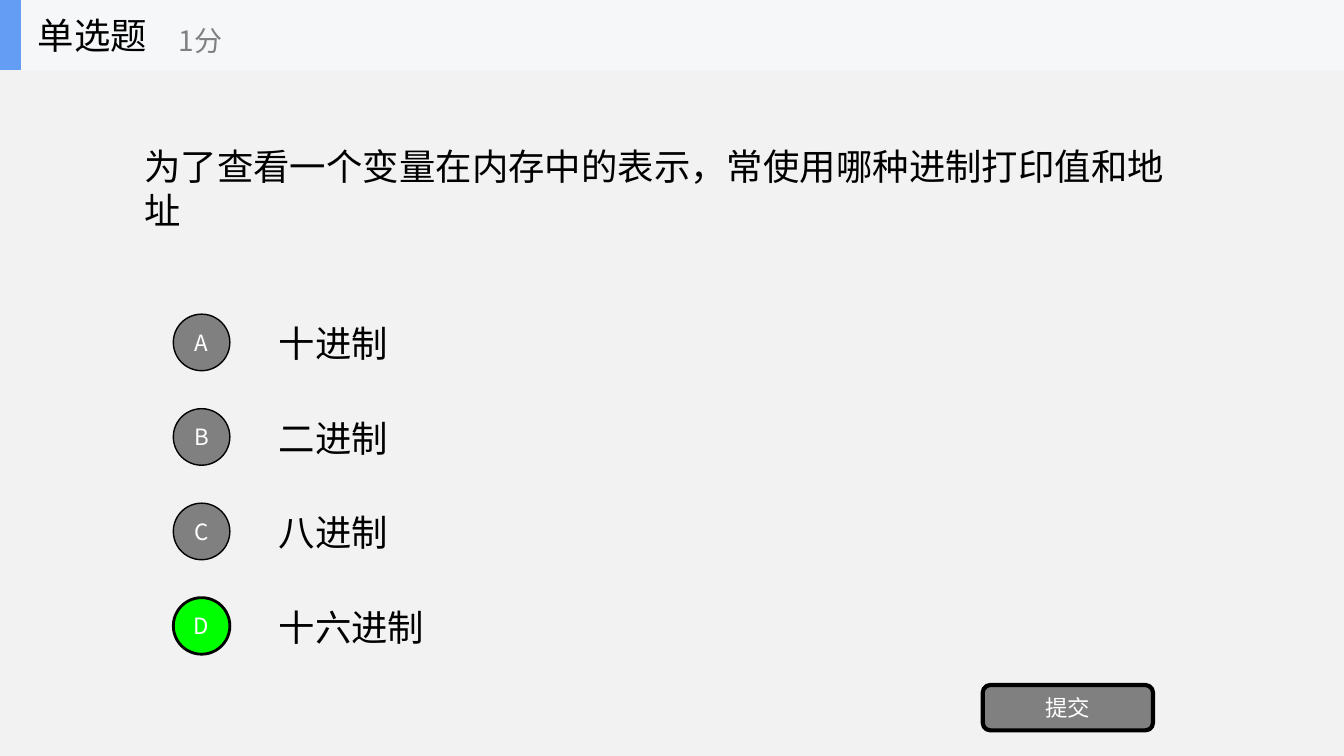
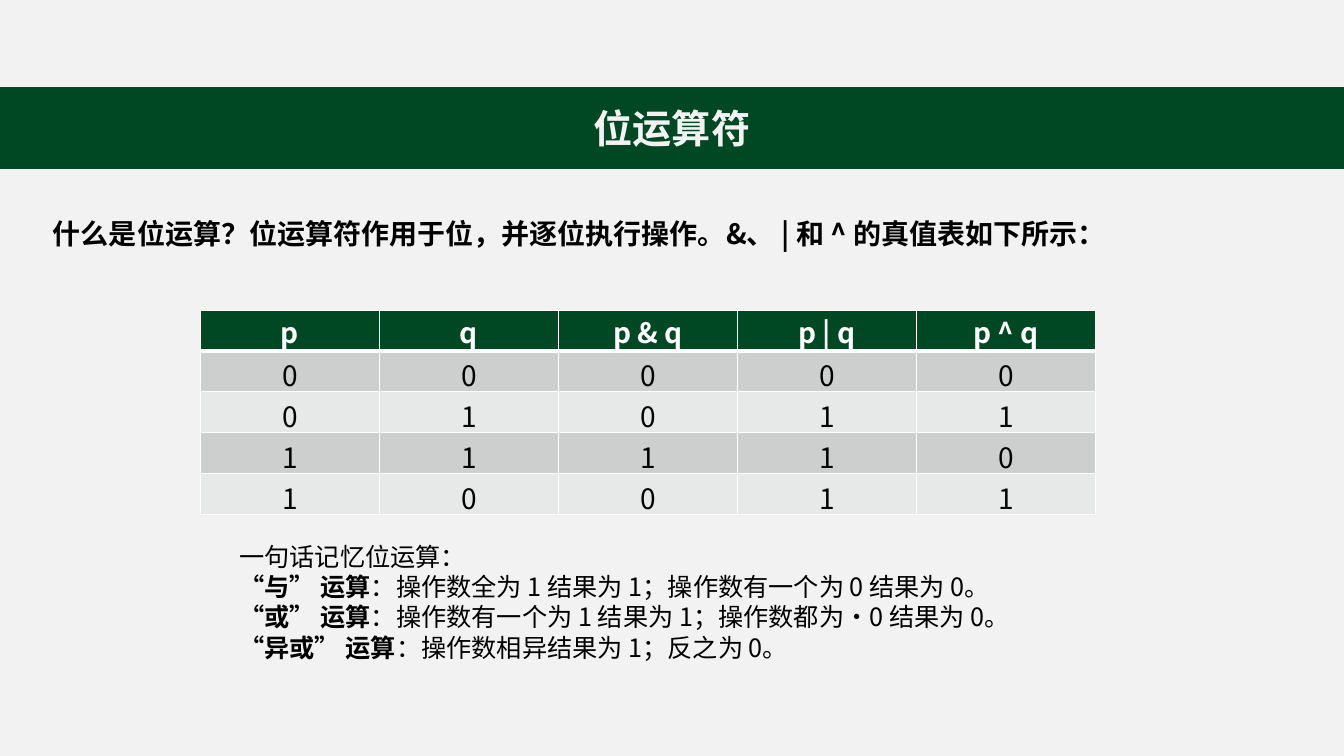
from lxml import etree
from pptx import Presentation
from pptx.dml.color import RGBColor
from pptx.enum import shapes, text
from pptx.oxml import ns
from pptx.util import Pt

FONT = "Noto Sans CJK SC"
WIDTH, HEIGHT = 960, 540
BLACK, WHITE, GRAY = "000000", "FFFFFF", "808080"
PAPER, GREEN, LIME = "F2F2F2", "004723", "00FF00"
HEADER_BAR, HEADER_ACCENT = "F6F7F8", "639EF4"
BANDS = ("CCCFCD", "E7E9E8")
SHAPE, ALIGN, ANCHOR = shapes.MSO_SHAPE, text.PP_ALIGN, text.MSO_ANCHOR

OPTIONS = ["十进制", "二进制", "八进制", "十六进制"]
TRUTH_TABLE = [
    ["p", "q", "p & q", "p | q", "p ^ q"],
    ["0", "0", "0", "0", "0"],
    ["0", "1", "0", "1", "1"],
    ["1", "1", "1", "1", "0"],
    ["1", "0", "0", "1", "1"],
]
SUMMARY = [
    ["", "一句话记忆位运算："],
    ["“与” 运算", "：操作数全为 1 结果为 1；操作数有一个为 0 结果为 0。"],
    ["“或” 运算", "：操作数有一个为 1 结果为 1；操作数都为·0 结果为 0。"],
    ["“异或” 运算", "：操作数相异结果为 1；反之为 0。"],
]


def rgb(value):
    return RGBColor.from_string(value)


def style_run(run, size, color, bold=False):
    """Format a run, using the same font for Latin and East Asian text."""
    run.font.name = FONT
    run.font.size = Pt(size)
    run.font.bold = bold
    run.font.color.rgb = rgb(color)
    east_asian = etree.SubElement(run.font._element, ns.qn("a:ea"))
    east_asian.set("typeface", FONT)


def write(frame, content, size, color, bold=False, align=ALIGN.LEFT):
    frame.text = content
    for paragraph in frame.paragraphs:
        paragraph.alignment = align
        for run in paragraph.runs:
            style_run(run, size, color, bold)


def add_label(slide, box, content, size, color=BLACK, bold=False, anchor=ANCHOR.MIDDLE):
    label = slide.shapes.add_textbox(*map(Pt, box))
    label.text_frame.word_wrap = True
    label.text_frame.vertical_anchor = anchor
    write(label.text_frame, content, size, color, bold)


def add_block(slide, preset, box, fill, line=None, line_width=1):
    block = slide.shapes.add_shape(preset, *map(Pt, box))
    block.shadow.inherit = False
    block.fill.solid()
    block.fill.fore_color.rgb = rgb(fill)
    if line:
        block.line.color.rgb = rgb(line)
        block.line.width = Pt(line_width)
    else:
        block.line.fill.background()
    return block


def add_button(slide, preset, box, caption, fill=GRAY, line_width=1):
    button = add_block(slide, preset, box, fill, BLACK, line_width)
    frame = button.text_frame
    frame.margin_left = frame.margin_right = 0
    frame.margin_top = frame.margin_bottom = 0
    frame.vertical_anchor = ANCHOR.MIDDLE
    write(frame, caption, 16, WHITE, align=ALIGN.CENTER)


def add_slide(deck):
    slide = deck.slides.add_slide(deck.slide_layouts[6])
    add_block(slide, SHAPE.RECTANGLE, (0, 0, WIDTH, HEIGHT), PAPER)
    return slide


def quiz_header(slide, box, kind, score):
    left, top, width, height = box
    add_block(slide, SHAPE.RECTANGLE, box, HEADER_BAR)
    add_block(slide, SHAPE.RECTANGLE, (left, top, 15, height), HEADER_ACCENT)
    add_label(slide, (left + 20, top, 150, height), kind, 26)
    add_label(slide, (left + 120.5, top + 9, 180, 40), score, 20, GRAY)


def answer_list(slide, box, options, correct):
    left, top, width, height = box
    pitch, row_height, circle = height / len(options), 50, 40.4
    for index, option in enumerate(options):
        y = top + index * pitch
        right = index == correct
        add_label(slide, (left + 68.2, y + 0.4, width - 68.2, row_height), option, 26)
        add_button(slide, SHAPE.OVAL,
                   (left, y + (row_height - circle) / 2, circle, circle),
                   "ABCD"[index], LIME if right else GRAY, 2 if right else 1)


def title_band(slide, box, title):
    band = add_block(slide, SHAPE.RECTANGLE, box, GREEN, GREEN)
    band.text_frame.vertical_anchor = ANCHOR.MIDDLE
    write(band.text_frame, title, 28, PAPER, True, ALIGN.CENTER)


def set_borders(cell, widths):
    """Draw white cell edges; widths are left, right, top, bottom in points."""
    properties = cell._tc.get_or_add_tcPr()
    for index, (side, width) in enumerate(zip("LRTB", widths)):
        edge = etree.Element(ns.qn("a:ln" + side), w=str(Pt(width)))
        fill = etree.SubElement(edge, ns.qn("a:solidFill"))
        etree.SubElement(fill, ns.qn("a:srgbClr"), val=WHITE)
        properties.insert(index, edge)


def truth_table(slide, box, rows):
    left, top, width, height = box
    table = slide.shapes.add_table(len(rows), len(rows[0]), *map(Pt, box)).table
    for column in table.columns:
        column.width = Pt(width / len(rows[0]))
    for row_index, values in enumerate(rows):
        table.rows[row_index].height = Pt(height / len(rows))
        header = row_index == 0
        for column_index, value in enumerate(values):
            cell = table.cell(row_index, column_index)
            cell.margin_left = cell.margin_right = Pt(0.7 if header else 1.4)
            cell.margin_top = cell.margin_bottom = Pt(0.7 if header else 2.2)
            cell.fill.solid()
            cell.fill.fore_color.rgb = rgb(GREEN if header else BANDS[(row_index - 1) % 2])
            set_borders(cell, (1, 1, 3 if row_index == 1 else 1, 3 if header else 1))
            write(cell.text_frame, value, 20, WHITE if header else BLACK, header, ALIGN.CENTER)


def summary_notes(slide, box, lines):
    frame = slide.shapes.add_textbox(*map(Pt, box)).text_frame
    frame.word_wrap = True
    for index, (term, rule) in enumerate(lines):
        paragraph = frame.add_paragraph() if index else frame.paragraphs[0]
        for content, bold in ((term, True), (rule, False)):
            if content:
                run = paragraph.add_run()
                run.text = content
                style_run(run, 18, BLACK, bold)


def quiz_slide(deck):
    slide = add_slide(deck)
    add_label(slide, (96, 50, 768, 168), "为了查看一个变量在内存中的表示，常使用哪种进制打印值和地址", 26)
    answer_list(slide, (123.8, 219.6, 740, 270), OPTIONS, correct=3)
    add_button(slide, SHAPE.ROUNDED_RECTANGLE, (702, 489.3, 121.6, 32.4), "提交", line_width=3)
    quiz_header(slide, (0, 0, WIDTH, 50), "单选题", "1分")


def operators_slide(deck):
    slide = add_slide(deck)
    title_band(slide, (0, 62.6, WIDTH, 58), "位运算符")
    add_label(slide, (30.7, 151.2, 818, 31.5),
              "什么是位运算？位运算符作用于位，并逐位执行操作。&、 | 和 ^ 的真值表如下所示：",
              20, bold=True, anchor=ANCHOR.TOP)
    truth_table(slide, (143.1, 221.5, 639.5, 146), TRUTH_TABLE)
    summary_notes(slide, (163.8, 383, 593.3, 94.3), SUMMARY)


def main():
    deck = Presentation()
    deck.slide_width, deck.slide_height = Pt(WIDTH), Pt(HEIGHT)
    quiz_slide(deck)
    operators_slide(deck)
    deck.save("out.pptx")


if __name__ == "__main__":
    main()
